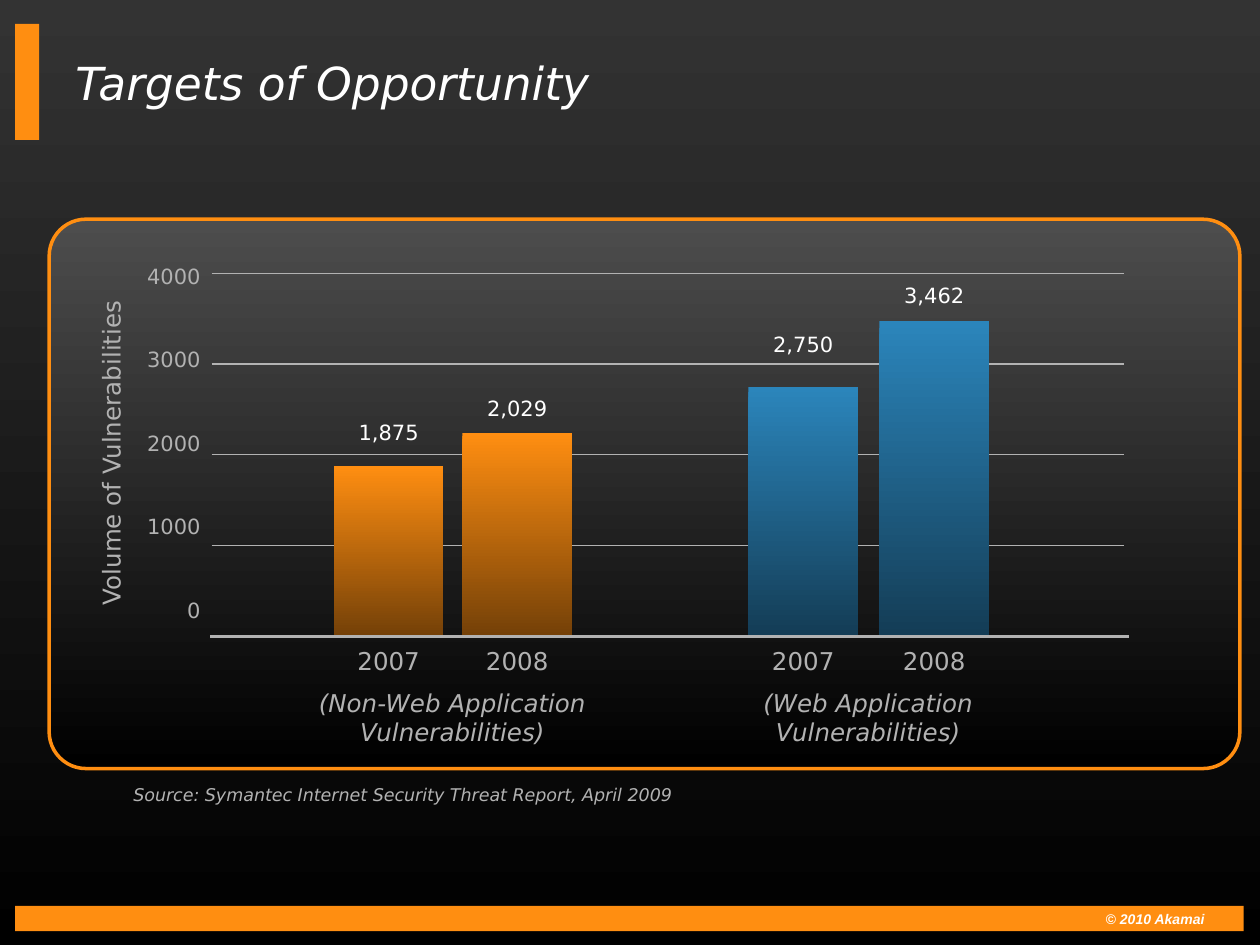
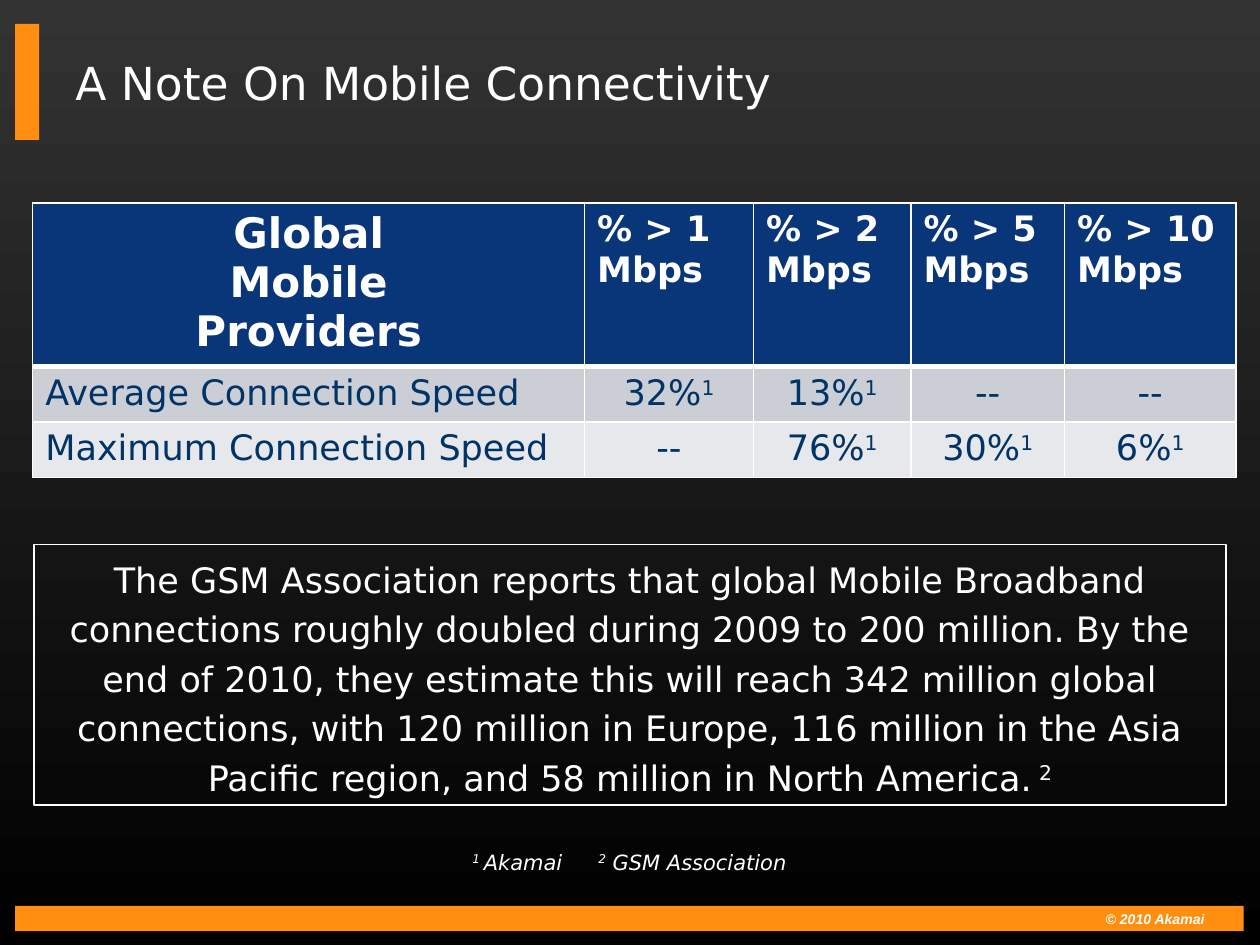
from lxml.etree import SubElement
from pptx import Presentation
from pptx.dml.color import RGBColor
from pptx.enum.shapes import MSO_CONNECTOR, MSO_SHAPE
from pptx.enum.text import MSO_ANCHOR, PP_ALIGN
from pptx.oxml import parse_xml
from pptx.oxml.ns import nsdecls, qn
from pptx.util import Inches, Pt

# Shared look
FONT = "DejaVu Sans"
WHITE = RGBColor(0xFF, 0xFF, 0xFF)
BLACK = RGBColor(0, 0, 0)
COAL = RGBColor(0x33, 0x33, 0x33)
SMOKE = RGBColor(0x4D, 0x4D, 0x4D)
GREY = RGBColor(0xB2, 0xB2, 0xB2)
ORANGE = RGBColor(0xFF, 0x8E, 0x11)
RUST = RGBColor(0x75, 0x41, 0x08)
BLUE = RGBColor(0x2B, 0x85, 0xBB)
DEEP = RGBColor(0x14, 0x3D, 0x56)
NAVY = RGBColor(0x09, 0x36, 0x78)
INK = RGBColor(0x00, 0x33, 0x66)
BANDS = [RGBColor(0xCC, 0xCE, 0xD6), RGBColor(0xE7, 0xE8, 0xEC)]
LEFT, MID, RIGHT = PP_ALIGN.LEFT, PP_ALIGN.CENTER, PP_ALIGN.RIGHT

# Chart scale and bars: value, year, left, height, label top
BASE, STEP = 5.05, 0.72
BAR_W = 0.87
GROUPS = [
    ("(Non-Web Application Vulnerabilities)", 2.15, 2.88, ORANGE, RUST,
     [("1,875", "2007", 2.65, 1.34, 3.28), ("2,029", "2008", 3.67, 1.6, 3.09)]),
    ("(Web Application Vulnerabilities)", 5.69, 2.4, BLUE, DEEP,
     [("2,750", "2007", 5.94, 1.97, 2.58), ("3,462", "2008", 6.98, 2.49, 2.19)]),
]

# Table of speeds; "^" switches superscript on and off
COLS = [4.38, 1.34, 1.25, 1.22, 1.36]
ROWS = [1.29, 0.44, 0.44]
SPEEDS = [
    ["Global\nMobile\nProviders", "% > 1\nMbps", "% > 2\nMbps",
     "% > 5 Mbps", "% > 10 Mbps"],
    ["Average Connection Speed", "32%^1", "13%^1", "--", "--"],
    ["Maximum Connection Speed", "--", "76%^1", "30%^1", "6%^1"],
]
STORY = (
    "The GSM Association reports that global Mobile Broadband connections "
    "roughly doubled during 2009 to 200 million. By the end of 2010, they "
    "estimate this will reach 342 million global connections, with 120 million "
    "in Europe, 116 million in the Asia Pacific region, and 58 million in "
    "North America.^ 2"
)


def write(frame, text, size, color=WHITE, align=LEFT, bold=False,
          italic=False, font=FONT, lines=None, after=None):
    """Fill a text frame: one paragraph a line, one run a "^" part."""
    for i, line in enumerate(text.split("\n")):
        para = frame.paragraphs[0] if i == 0 else frame.add_paragraph()
        para.alignment = align
        if lines:
            para.line_spacing = lines
        if after:
            para.space_after = Pt(after)
        for j, part in enumerate(line.split("^")):
            if not part:
                continue
            run = para.add_run()
            run.text = part
            run.font.name, run.font.size = font, Pt(size)
            run.font.bold, run.font.italic = bold, italic
            run.font.color.rgb = color
            if j % 2:
                run.font._element.set("baseline", "30000")


def label(slide, box, text, size, wrap=True, turn=0, anchor=MSO_ANCHOR.TOP,
          **style):
    shape = slide.shapes.add_textbox(*map(Inches, box))
    shape.rotation = turn
    shape.text_frame.word_wrap = wrap
    shape.text_frame.vertical_anchor = anchor
    write(shape.text_frame, text, size, **style)


def block(slide, box, fill=None, fade=None, edge=None, width=1,
          kind=MSO_SHAPE.RECTANGLE):
    """Add a shape, plain or fading downwards from fill to fade."""
    shape = slide.shapes.add_shape(kind, *map(Inches, box))
    shape.shadow.inherit = False
    if fade is not None:
        shape.fill.gradient()
        shape.fill.gradient_angle = 270
        for stop, color in zip(shape.fill.gradient_stops, (fill, fade)):
            stop.color.rgb = color
    elif fill is not None:
        shape.fill.solid()
        shape.fill.fore_color.rgb = fill
    else:
        shape.fill.background()
    if edge is not None:
        shape.line.color.rgb = edge
        shape.line.width = Pt(width)
    else:
        shape.line.fill.background()
    return shape


def rule(slide, left, right, y, width):
    line = slide.shapes.add_connector(
        MSO_CONNECTOR.STRAIGHT, *map(Inches, (left, y, right, y)))
    line.line.color.rgb = GREY
    line.line.width = Pt(width)
    SubElement(line._element.spPr, qn("a:effectLst"))


def edges(cell, **widths):
    """Draw white borders; these come before the fill in a cell."""
    props = cell._tc.get_or_add_tcPr()
    for i, side in enumerate("LRTB"):
        props.insert(i, parse_xml(
            f'<a:ln{side} {nsdecls("a")} w="{Pt(widths.get(side, 1))}">'
            f'<a:solidFill><a:srgbClr val="{WHITE}"/></a:solidFill></a:ln{side}>'))


def start(deck, title, italic=False):
    """Add a slide with its backdrop, bands, footer and title."""
    slide = deck.slides.add_slide(deck.slide_layouts[6])
    slide.background.fill.solid()
    slide.background.fill.fore_color.rgb = BLACK
    block(slide, (0, 0, 10, 7.5), COAL, BLACK)
    block(slide, (0.12, 7.19, 9.75, 0.2), ORANGE)
    label(slide, (6.83, 7.18, 2.83, 0.25), "© 2010 Akamai", 8, align=RIGHT,
          bold=True, italic=True, font="Arial")
    block(slide, (0.12, 0.19, 0.19, 0.92), ORANGE)
    label(slide, (0.5, 0.36, 9, 0.58), title, 26, italic=italic,
          anchor=MSO_ANCHOR.MIDDLE)
    return slide


def axis(slide):
    for i in range(1, 5):
        rule(slide, 1.68, 8.92, BASE - i * STEP, 0.75)
    rule(slide, 1.67, 8.96, BASE, 1.5)
    label(slide, (0.98, 1.92, 0.71, 3.3), "4000\n3000\n2000\n1000\n0", 12,
          color=GREY, align=RIGHT, lines=1.6, after=24.75)
    label(slide, (-0.44, 3.43, 2.64, 0.33), "Volume of Vulnerabilities", 14,
          wrap=False, turn=270, color=GREY, align=MID)


def bar(slide, value, year, left, height, top, fill, fade):
    center = left + BAR_W / 2
    block(slide, (left, BASE - 0.01 - height, BAR_W, height), fill, fade)
    label(slide, (center - 0.35, top, 0.7, 0.3), value, 12, wrap=False,
          align=MID)
    label(slide, (center - 0.45, 5.08, 0.9, 0.33), year, 14, color=GREY,
          align=MID)


def targets(deck):
    slide = start(deck, "Targets of Opportunity", italic=True)
    panel = block(slide, (0.39, 1.74, 9.45, 4.36), SMOKE, BLACK, ORANGE, 2,
                  MSO_SHAPE.ROUNDED_RECTANGLE)
    panel.adjustments[0] = 0.067
    axis(slide)
    for name, left, width, fill, fade, bars in GROUPS:
        for item in bars:
            bar(slide, *item, fill, fade)
        label(slide, (left, 5.41, width, 0.57), name, 14, color=GREY,
              align=MID, italic=True)
    label(slide, (0.96, 6.17, 7.57, 0.27),
          "Source: Symantec Internet Security Threat Report, April 2009", 10,
          color=GREY, italic=True)


def grid(slide):
    table = slide.shapes.add_table(
        len(ROWS), len(COLS), *map(Inches, (0.26, 1.61, sum(COLS), sum(ROWS)))).table
    for col, width in zip(table.columns, COLS):
        col.width = Inches(width)
    for r, texts in enumerate(SPEEDS):
        table.rows[r].height = Inches(ROWS[r])
        head = r == 0
        for c, text in enumerate(texts):
            cell = table.cell(r, c)
            cell.fill.solid()
            cell.fill.fore_color.rgb = NAVY if head else BANDS[r - 1]
            edges(cell, T=3 if r == 1 else 1, B=3 if head else 1)
            write(cell.text_frame, text, 24 if head and c == 0 else 20,
                  color=WHITE if head else INK, bold=head,
                  align=MID if head == (c == 0) else LEFT)


def mobile(deck):
    slide = start(deck, "A Note On Mobile Connectivity")
    grid(slide)
    # Story and its notes
    story = block(slide, (0.27, 4.32, 9.46, 2.07), edge=WHITE, width=0.75)
    story.text_frame.word_wrap = True
    story.text_frame.vertical_anchor = MSO_ANCHOR.TOP
    write(story.text_frame, STORY, 20, align=MID, lines=1.18)
    for left, note in ((3.65, "^1 ^Akamai"), (4.65, "^2^ GSM Association")):
        label(slide, (left, 6.69, 2, 0.3), note, 12, wrap=False, italic=True)


def main():
    deck = Presentation()
    deck.slide_width, deck.slide_height = Inches(10), Inches(7.5)
    targets(deck)
    mobile(deck)
    deck.save("out.pptx")


if __name__ == "__main__":
    main()
